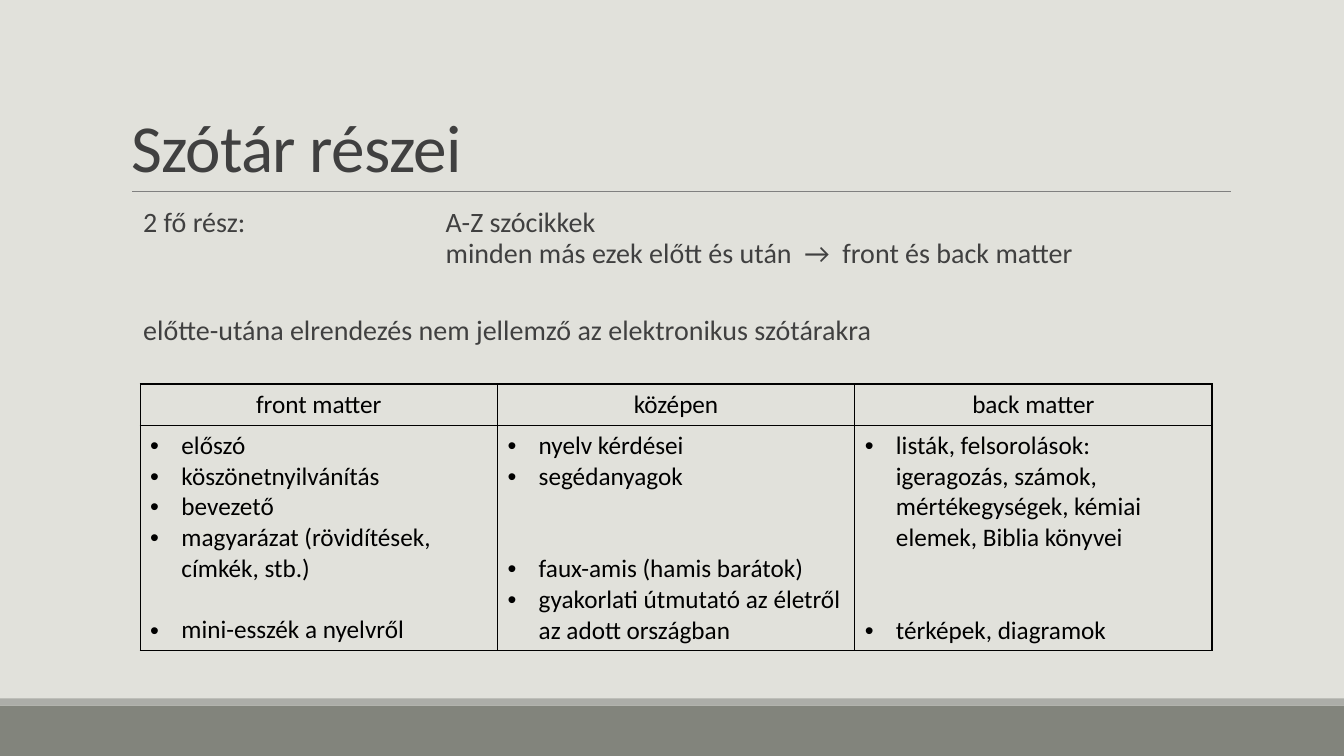
from dataclasses import dataclass
from lxml.etree import SubElement as Sub
from pptx import Presentation
from pptx.dml.color import RGBColor as Rgb
from pptx.enum.shapes import MSO_CONNECTOR as Link, MSO_SHAPE as Form
from pptx.enum.text import MSO_ANCHOR as Anchor, MSO_AUTO_SIZE as Auto, PP_ALIGN as Align
from pptx.oxml.ns import qn
from pptx.util import Inches, Pt


@dataclass(frozen=True)
class Theme:
    font: str = "Calibri"
    back: str = "E1E1DB"
    band: str = "82847C"
    strip: str = "ACADA8"
    rule: str = "808080"
    text: str = "404040"
    ink: str = "000000"
    title: int = 48
    body: int = 20
    cell: int = 18


THEME = Theme()
BLANK = 22  # height of one table text line, in points

# Each entry: text, lines left free above it
HEADS = ["front matter", "középen", "back matter"]
LISTS = [
    [("előszó", 0), ("köszönetnyilvánítás", 0), ("bevezető", 0),
     ("magyarázat (rövidítések, címkék, stb.)", 0),
     ("mini-esszék a nyelvről", 1)],
    [("nyelv kérdései", 0), ("segédanyagok", 0),
     ("faux-amis (hamis barátok)", 2),
     ("gyakorlati útmutató az életről az adott országban", 0)],
    [("listák, felsorolások:\vigeragozás, számok, mértékegységek, "
      "kémiai elemek, Biblia könyvei", 0),
     ("térképek, diagramok", 2)],
]


def apply(item, form):
    for name, value in form.items():
        setattr(item, name, value)


def place(shape, left, top, width, height):
    apply(shape, {"left": Inches(left), "top": Inches(top),
                  "width": Inches(width), "height": Inches(height)})


def write(para, text, size, color, **form):
    """Fill a paragraph and format it."""
    para.text = text
    apply(para, form)
    for run in para.runs:
        apply(run.font, {"name": THEME.font, "size": Pt(size), "bold": False})
        run.font.color.rgb = Rgb.from_string(color)


def indent(para, left, first, bullet=None):
    props = para._p.get_or_add_pPr()
    props.set("marL", str(Inches(left)))
    props.set("indent", str(Inches(first)))
    if bullet:
        Sub(props, qn("a:buFont"), typeface="Arial")
        Sub(props, qn("a:buChar"), char=bullet)
    else:
        Sub(props, qn("a:buNone"))


def add_bar(slide, top, height, color):
    bar = slide.shapes.add_shape(
        Form.RECTANGLE, 0, Inches(top), Inches(13.33), Inches(height))
    bar.shadow.inherit = False
    bar.fill.solid()
    bar.fill.fore_color.rgb = Rgb.from_string(color)
    bar.line.fill.background()


def add_rule(slide, left, right, top):
    rule = slide.shapes.add_connector(
        Link.STRAIGHT, Inches(left), Inches(top), Inches(right), Inches(top))
    rule.line.color.rgb = Rgb.from_string(THEME.rule)
    rule.line.width = Pt(0.5)
    Sub(rule._element.spPr, qn("a:effectLst"))


def set_title(shape, text):
    place(shape, 1.2, 0.31, 11, 1.59)
    frame = shape.text_frame
    apply(frame, {"vertical_anchor": Anchor.BOTTOM, "auto_size": Auto.NONE,
                  "word_wrap": True})
    para = frame.paragraphs[0]
    write(para, text, THEME.title, THEME.text,
          alignment=Align.LEFT, line_spacing=0.85)
    para.runs[0].font._element.set("spc", "-50")


def set_body(shape):
    place(shape, 1.2, 2.02, 11, 4.4)
    frame = shape.text_frame
    apply(frame, {"margin_left": 0, "margin_right": 0, "word_wrap": True,
                  "auto_size": Auto.NONE, "vertical_anchor": Anchor.TOP})
    form = {"level": 1, "line_spacing": 0.9, "space_after": Pt(4)}
    # The hanging indent lines up both halves of the answer
    parts = frame.paragraphs[0]
    write(parts, "2 fő rész:\tA-Z szócikkek\v"
          "minden más ezek előtt és után  →  front és back matter",
          THEME.body, THEME.text, space_before=Pt(2), **form)
    indent(parts, 3.22, -3)
    note = frame.add_paragraph()
    write(note, "előtte-utána elrendezés nem jellemző az elektronikus szótárakra",
          THEME.body, THEME.text, space_before=Pt(30), **form)
    indent(note, 0.22, 0)


def frame_cell(cell):
    """Draw thin borders round a clear cell."""
    props = cell._tc.get_or_add_tcPr()
    for side in "LRTB":
        line = Sub(props, qn(f"a:ln{side}"), w=str(Pt(1)))
        Sub(Sub(line, qn("a:solidFill")), qn("a:srgbClr"), val=THEME.ink)
    cell.fill.background()


def fill_list(frame, items):
    for index, (text, gap) in enumerate(items):
        para = frame.add_paragraph() if index else frame.paragraphs[0]
        write(para, text, THEME.cell, THEME.ink, space_before=Pt(gap * BLANK))
        indent(para, 0.31, -0.31, "•")


def add_grid(slide):
    table = slide.shapes.add_table(
        2, len(HEADS), Inches(1.39), Inches(3.81),
        Inches(10.63), Inches(2.64)).table
    apply(table, {"first_row": False, "horz_banding": False})
    for row, height in zip(table.rows, (0.41, 2.23)):
        row.height = Inches(height)
    for col, (head, items) in enumerate(zip(HEADS, LISTS)):
        top, low = table.cell(0, col), table.cell(1, col)
        write(top.text_frame.paragraphs[0], head, THEME.cell, THEME.ink,
              alignment=Align.CENTER)
        fill_list(low.text_frame, items)
        for cell in (top, low):
            frame_cell(cell)


def main():
    deck = Presentation()
    apply(deck, {"slide_width": Inches(13.33), "slide_height": Inches(7.5)})
    slide = deck.slides.add_slide(deck.slide_layouts[1])
    slide.background.fill.solid()
    slide.background.fill.fore_color.rgb = Rgb.from_string(THEME.back)
    # Backdrop
    add_bar(slide, 7, 0.5, THEME.band)
    add_bar(slide, 6.93, 0.07, THEME.strip)
    add_rule(slide, 1.31, 12.21, 1.9)
    # Content
    set_title(slide.shapes.title, "Szótár részei")
    set_body(slide.placeholders[1])
    add_grid(slide)
    deck.save("out.pptx")


if __name__ == "__main__":
    main()
